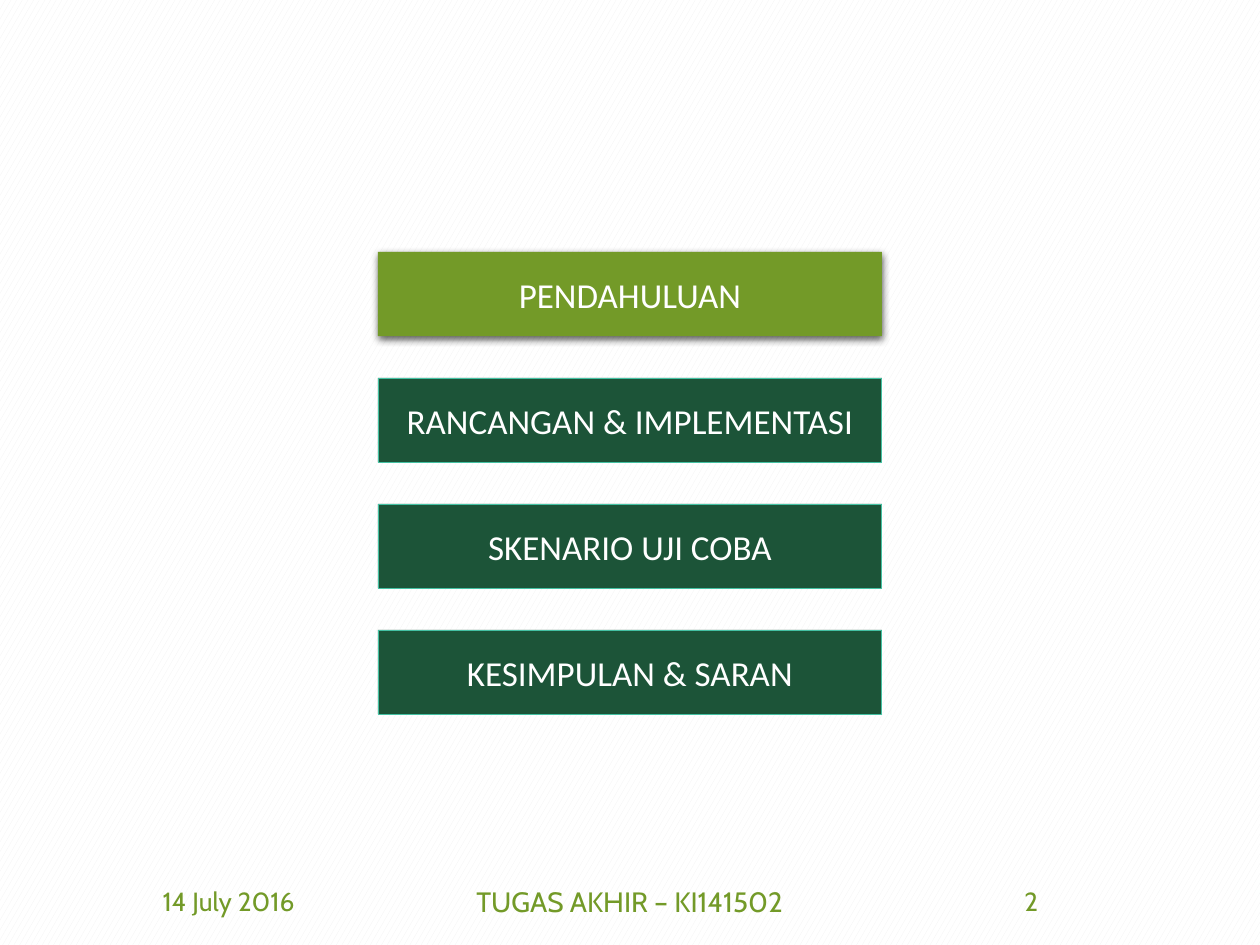
from pptx import Presentation
from pptx.dml.color import RGBColor
from pptx.enum.dml import MSO_PATTERN
from pptx.enum.shapes import MSO_SHAPE as Shape
from pptx.enum.text import MSO_ANCHOR as Anchor, PP_ALIGN as Align
from pptx.oxml import parse_xml
from pptx.oxml.ns import nsdecls
from pptx.util import Cm, Pt

GREEN, DARK_GREEN, TEAL, WHITE = "739A28", "1C5438", "44C1A3", "FFFFFF"
AGENDA = ["PENDAHULUAN", "RANCANGAN & IMPLEMENTASI", "SKENARIO UJI COBA", "KESIMPULAN & SARAN"]
# Offset from the left of the footer, width, text, size
FOOTER = [
    (0, 5.72, "14 July 2016", 15),
    (6.65, 8.59, "TUGAS AKHIR – KI141502", 16),
    (16.18, 5.72, "2", 15),
]


def color(value):
    return RGBColor.from_string(value)


def apply_format(target, values):
    for name, value in values.items():
        setattr(target, name, value)


def write_text(part, text, font, size, ink, wrap):
    frame = part.text_frame
    apply_format(frame, {"word_wrap": wrap, "vertical_anchor": Anchor.MIDDLE})
    paragraph = frame.paragraphs[0]
    paragraph.alignment = Align.CENTER
    run = paragraph.add_run()
    run.text = text
    apply_format(run.font, {"name": font, "size": Pt(size)})
    run.font.color.rgb = color(ink)


def add_soft_shadow(bar):
    bar.shadow.inherit = False
    bar._element.spPr.effectLst.append(parse_xml(
        f'<a:outerShdw {nsdecls("a")} blurRad="{Pt(4.5)}" dist="{Pt(1.5)}" dir="5400000" '
        'algn="ctr" rotWithShape="0"><a:srgbClr val="000000"><a:alpha val="63000"/>'
        '</a:srgbClr></a:outerShdw>'))


def paint_background(slide):
    fill = slide.background.fill
    fill.patterned()
    fill.pattern = MSO_PATTERN.LARGE_CONFETTI
    fill.fore_color.rgb = color("F2F2F2")
    fill.back_color.rgb = color(WHITE)


def add_agenda(slide, left, top, width, height, current):
    """Stack one bar per chapter and highlight the current one."""
    bar_height = 1.7
    pitch = (height - bar_height) / (len(AGENDA) - 1)
    for index, chapter in enumerate(AGENDA):
        bar = slide.shapes.add_shape(Shape.RECTANGLE, Cm(left), Cm(top + index * pitch),
                                     Cm(width), Cm(bar_height))
        bar.fill.solid()
        if index == current:
            bar.fill.fore_color.rgb = color(GREEN)
            bar.line.fill.background()
            add_soft_shadow(bar)
        else:
            bar.fill.fore_color.rgb = color(DARK_GREEN)
            bar.line.color.rgb = color(TEAL)
            bar.line.width = Pt(0.5)
            bar.shadow.inherit = False
        write_text(bar, chapter, "Calibri", 20, WHITE, wrap=False)


def add_footer(slide, left, top, height):
    """Place date, course title and page number in one row."""
    for offset, width, text, size in FOOTER:
        note = slide.shapes.add_textbox(Cm(left + offset), Cm(top), Cm(width), Cm(height))
        write_text(note, text, "Cabin", size, GREEN, wrap=True)


def main():
    deck = Presentation()
    apply_format(deck, {"slide_width": Cm(25.4), "slide_height": Cm(19.05)})
    slide = deck.slides.add_slide(deck.slide_layouts[6])
    paint_background(slide)
    add_footer(slide, 1.75, 17.65, 1.02)
    add_agenda(slide, 7.62, 5.08, 10.16, 9.32, current=0)
    deck.save("out.pptx")


if __name__ == "__main__":
    main()
